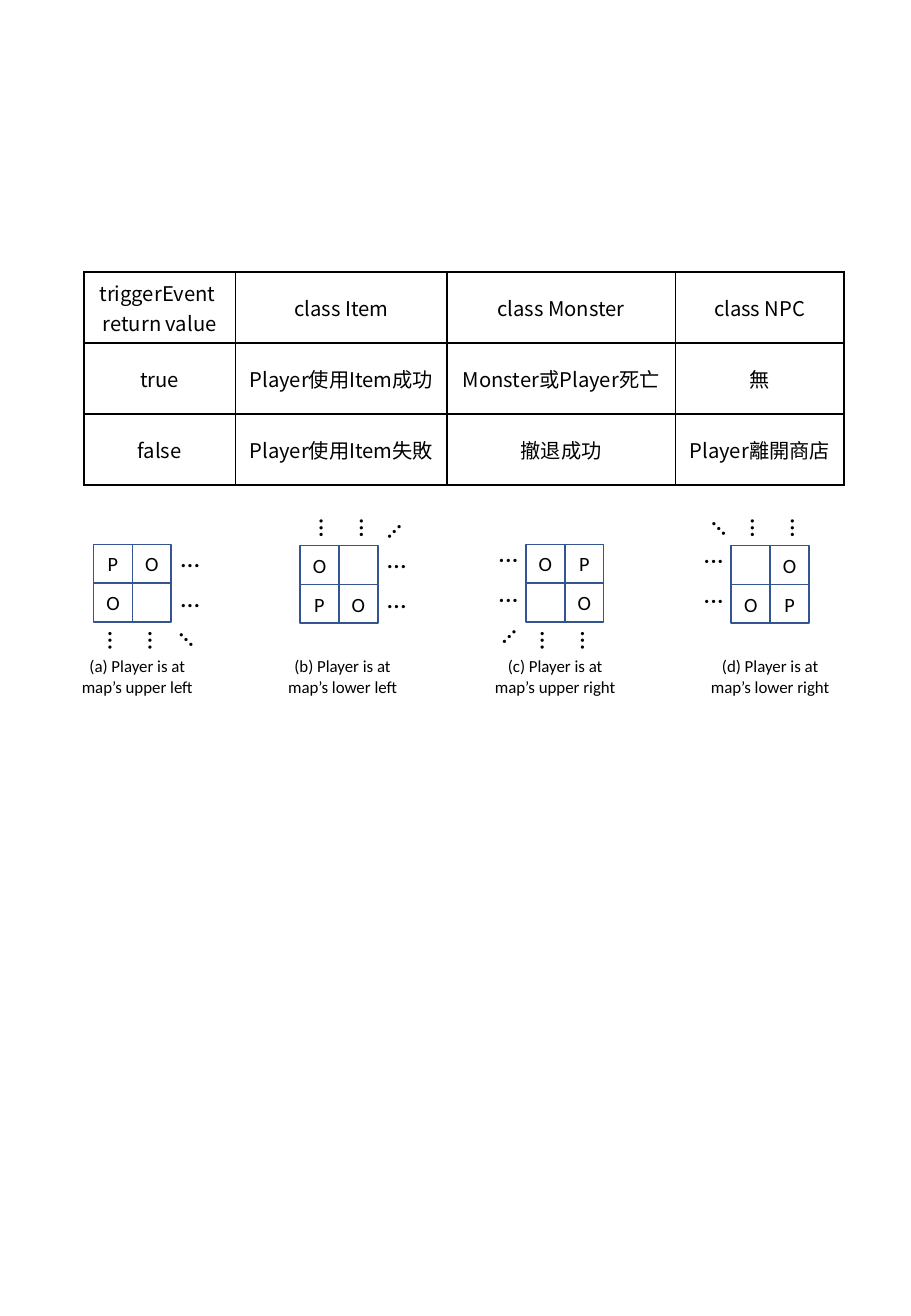
import dataclasses

import lxml.etree
import pptx
import pptx.dml.color
import pptx.enum.shapes
import pptx.enum.text
import pptx.oxml.ns
import pptx.util

PX = 9144  # EMU per px, 100 px to the inch
ALIGN = pptx.enum.text.PP_ALIGN
ANCHOR = pptx.enum.text.MSO_ANCHOR
AUTO_SIZE = pptx.enum.text.MSO_AUTO_SIZE
qn = pptx.oxml.ns.qn


@dataclasses.dataclass(frozen=True)
class Theme:
    ink: str = "000000"
    cell_line: str = "325491"
    map_font: str = "Calibri"
    table_font: str = "Noto Sans CJK TC"
    table_size: int = 12
    letter_size: int = 12
    dots_size: int = 16
    caption_size: int = 10
    line_width: int = 1


THEME = Theme()


def px(*lengths):
    return [pptx.util.Emu(length * PX) for length in lengths]


def rgb(color):
    return pptx.dml.color.RGBColor.from_string(color)


def write(frame, text, *, size, font=THEME.map_font, color=THEME.ink, anchor=ANCHOR.TOP,
          wrap=False, margins=(10, 5), auto_size=AUTO_SIZE.NONE):
    """Fill a text frame with one centred paragraph; \\v breaks a line."""
    frame.word_wrap = wrap
    frame.auto_size = auto_size
    frame.vertical_anchor = anchor
    frame.margin_left = frame.margin_right = px(margins[0])[0]
    frame.margin_top = frame.margin_bottom = px(margins[1])[0]
    paragraph = frame.paragraphs[0]
    paragraph.text = text
    paragraph.alignment = ALIGN.CENTER
    for run in paragraph.runs:
        run.font.size = pptx.util.Pt(size)
        run.font.name = font
        run.font.color.rgb = rgb(color)
        east_asian = lxml.etree.SubElement(run.font._element, qn("a:ea"))
        east_asian.set("typeface", font)


def border(cell):
    """Draw all four edges of a table cell."""
    properties = cell._tc.get_or_add_tcPr()
    for index, edge in enumerate(("a:lnL", "a:lnR", "a:lnT", "a:lnB")):
        line = lxml.etree.Element(qn(edge), w=str(pptx.util.Pt(THEME.line_width)))
        fill = lxml.etree.SubElement(line, qn("a:solidFill"))
        lxml.etree.SubElement(fill, qn("a:srgbClr"), val=THEME.ink)
        properties.insert(index, line)


def event_table(slide, box, column_widths, rows):
    table = slide.shapes.add_table(len(rows), len(column_widths), *px(*box)).table
    table.first_row = table.horz_banding = False
    for column, width in zip(table.columns, column_widths):
        column.width = px(width)[0]
    for r, row in enumerate(rows):
        table.rows[r].height = px(box[3] // len(rows))[0]
        for c, text in enumerate(row):
            cell = table.cell(r, c)
            write(cell.text_frame, text, size=THEME.table_size, font=THEME.table_font, wrap=True)
            cell.vertical_anchor = ANCHOR.MIDDLE
            cell.fill.background()
            border(cell)


def dots(group, left, top, rotation):
    ellipsis = group.shapes.add_textbox(*px(left, top, 29, 19))
    ellipsis.rotation = rotation
    write(ellipsis.text_frame, "…", size=THEME.dots_size, anchor=ANCHOR.BOTTOM)


def corner_map(slide, box, grid_inset, letters, across, along, diagonal, caption):
    """Two by two corner of the map, dots where it goes on, caption below."""
    left, top, width, height = box
    side, pitch = 32, 33
    grid_left = left + grid_inset
    grid_top = top + (23 if along == "down" else 24)
    group = slide.shapes.add_group_shape()

    # Caption
    label = group.shapes.add_textbox(*px(left, top + height - 44, width, 44))
    write(label.text_frame, caption, size=THEME.caption_size,
          auto_size=AUTO_SIZE.SHAPE_TO_FIT_TEXT)

    # Dots beside, above or below, and at the corner
    across_left, across_top, across_turn = {"right": (65, 9, 0), "left": (-29, 3, 180)}[across]
    along_left, along_top, along_turn = {"down": (-2, 70, 90), "up": (4, -24, 270)}[along]
    for step in (0, pitch):
        dots(group, grid_left + across_left, grid_top + across_top + step, across_turn)
        dots(group, grid_left + along_left + step, grid_top + along_top, along_turn)
    corner_turn = 315 if (across, along) == ("right", "up") else (across_turn + along_turn) // 2
    dots(group, grid_left + diagonal[0], grid_top + diagonal[1], corner_turn)

    # Cells
    for index, letter in enumerate(letters):
        row, column = divmod(index, 2)
        cell = group.shapes.add_shape(
            pptx.enum.shapes.MSO_SHAPE.RECTANGLE,
            *px(grid_left + column * side, grid_top + row * side, side, side))
        cell.shadow.inherit = False
        cell.fill.background()
        cell.line.color.rgb = rgb(THEME.cell_line)
        cell.line.width = pptx.util.Pt(THEME.line_width)
        if letter:
            write(cell.text_frame, letter, size=THEME.letter_size, anchor=ANCHOR.MIDDLE,
                  margins=(0, 0))


EVENT_ROWS = [
    ("triggerEvent \vreturn value", "class Item", "class Monster", "class NPC"),
    ("true", "Player使用Item成功", "Monster或Player死亡", "無"),
    ("false", "Player使用Item失敗", "撤退成功", "Player離開商店"),
]

# Left, width, grid inset, letters, open sides, corner dots, caption
CORNER_MAPS = [
    (56, 114, 21, ("P", "O", "O", ""), "right", "down", (61, 70),
     "(a) Player is at\vmap’s upper left"),
    (226, 112, 21, ("O", "", "P", "O"), "right", "up", (64, -20),
     "(b) Player is at\vmap’s lower left"),
    (396, 122, 37, ("O", "P", "", "O"), "left", "down", (-29, 66),
     "(c) Player is at\vmap’s upper right"),
    (574, 120, 28, ("", "O", "O", "P"), "left", "up", (-24, -24),
     "(d) Player is at\vmap’s lower right"),
]


def main():
    deck = pptx.Presentation()
    deck.slide_width, deck.slide_height = px(750, 1083)
    slide = deck.slides.add_slide(deck.slide_layouts[6])
    event_table(slide, (69, 224, 626, 123), (125, 174, 188, 139), EVENT_ROWS)
    for left, width, *details in CORNER_MAPS:
        corner_map(slide, (left, 425, width, 154), *details)
    deck.save("out.pptx")


if __name__ == "__main__":
    main()
